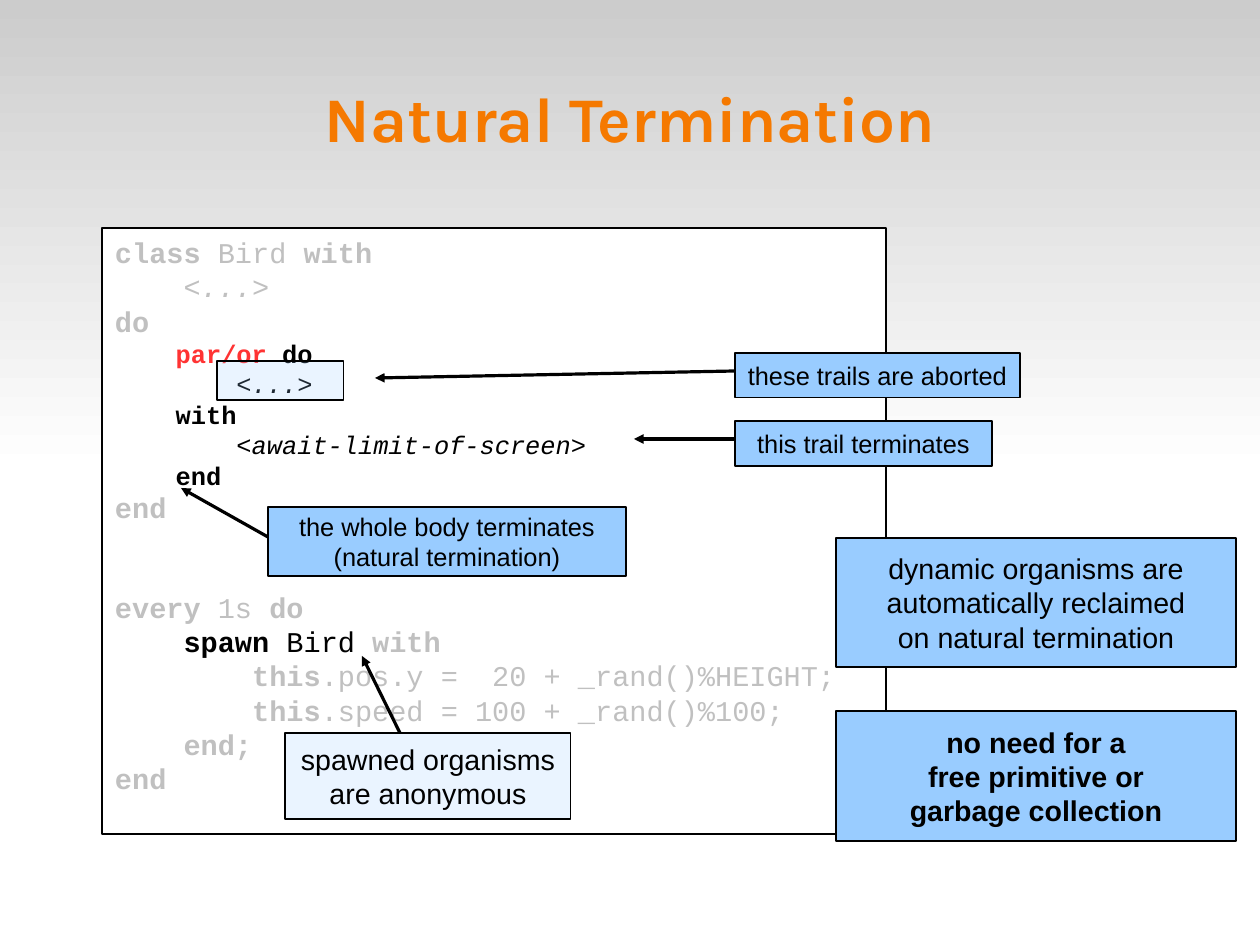
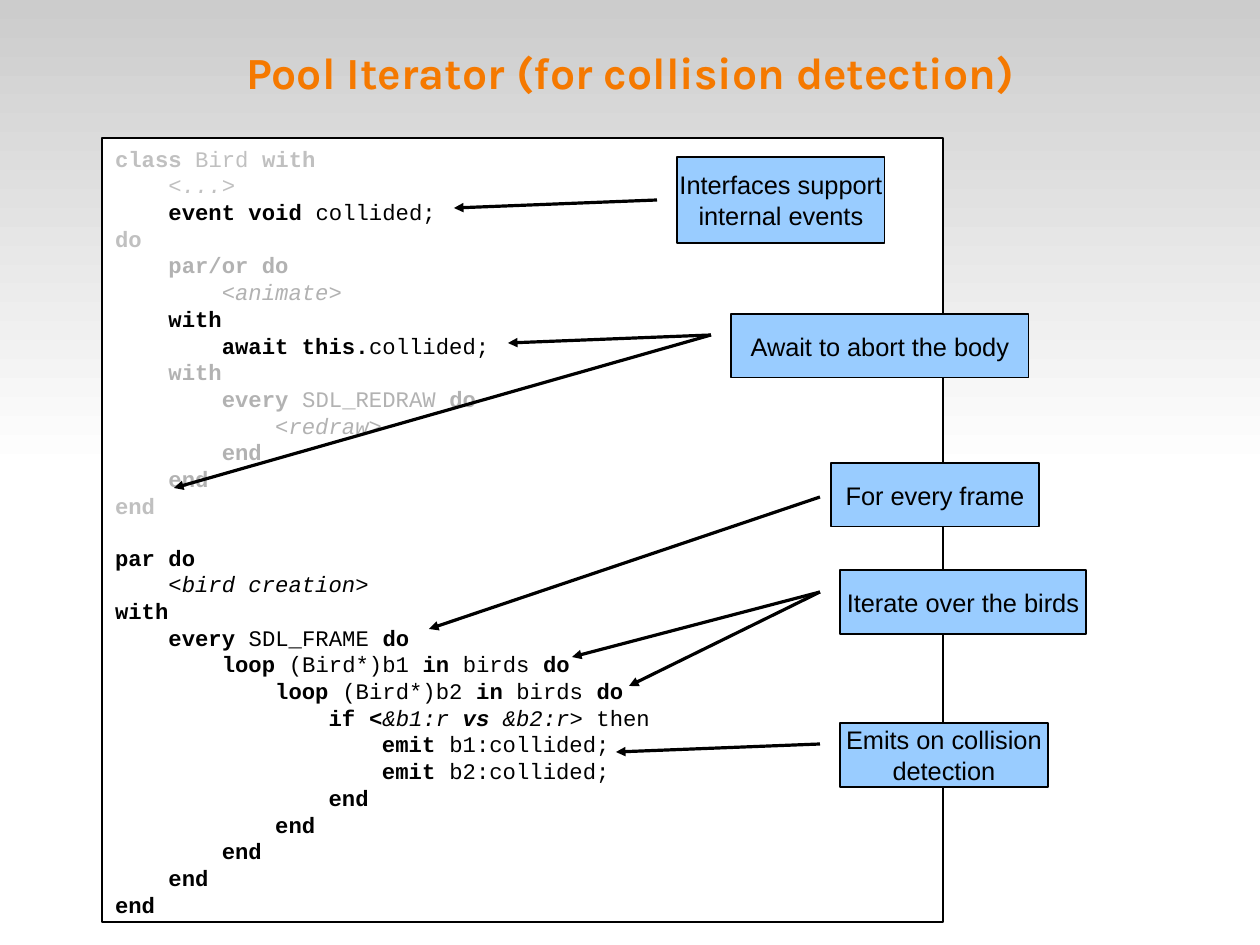
from lxml import etree
from pptx import Presentation
from pptx.dml.color import RGBColor
from pptx.enum.shapes import MSO_CONNECTOR, MSO_SHAPE
from pptx.enum.text import MSO_ANCHOR, MSO_AUTO_SIZE, PP_ALIGN
from pptx.oxml.ns import qn
from pptx.util import Pt

RECT = MSO_SHAPE.RECTANGLE
STRAIGHT = MSO_CONNECTOR.STRAIGHT
TOP, MIDDLE = MSO_ANCHOR.TOP, MSO_ANCHOR.MIDDLE
LEFT, CENTER = PP_ALIGN.LEFT, PP_ALIGN.CENTER
NO_AUTOFIT = MSO_AUTO_SIZE.NONE

PX = 8000  # EMU per px
WIDTH, HEIGHT = 1260, 945
BLACK, WHITE, ORANGE, BLUE = "000000", "FFFFFF", "F57900", "99CCFF"
SOLID, FAINT = 100, 20  # callout opacity in percent

# Code styles: a colour letter, then b for bold and i for italic
CODE_COLORS = {"K": BLACK, "G": "C0C0C0", "D": "B2B2B2", "R": "FF3333"}

# Code blocks: text size, space before, lines of (style, text) runs
termination_code = [
    (18, 0, [
        [("Gb", "class"), ("G", " Bird "), ("Gb", "with")],
        [("Gi", "    <...>")],
        [("Gb", "do")],
    ]),
    (16, 0, [
        [("Rb", "    par/or"), ("Kb", " do")],
        [("Ki", "        <...>")],
        [("Kb", "    with")],
        [("Ki", "        <await-limit-of-screen>")],
        [("Kb", "    end")],
    ]),
    (18, 0, [[("Gb", "end")]]),
    (18, 41, [
        [("Gb", "every "), ("G", "1s"), ("Gb", " do")],
        [("Kb", "    spawn "), ("K", "Bird"), ("Gb", " with")],
        [("Gb", "        this"), ("G", ".pos.y =  20 + _rand()%HEIGHT;")],
        [("Gb", "        this"), ("G", ".speed = 100 + _rand()%100;")],
        [("Gb", "    end;")],
        [("Gb", "end")],
    ]),
]

iterator_code = [
    (14, 0, [
        [("Gb", "class"), ("G", " Bird "), ("Gb", "with")],
        [("Gi", "    <...>")],
        [("Kb", "    event void"), ("K", " collided;")],
        [("Gb", "do")],
        [("Db", "    par/or do")],
        [("Di", "        <animate>")],
        [("Kb", "    with")],
        [("Kb", "        await this."), ("K", "collided;")],
        [("Db", "    with")],
        [("Db", "        every"), ("D", " SDL_REDRAW"), ("Db", " do")],
        [("Di", "            <redraw>")],
        [("Db", "        end")],
        [("Db", "    end")],
        [("Gb", "end")],
    ]),
    (14, 16, [
        [("Kb", "par do")],
        [("Ki", "    <bird creation>")],
        [("Kb", "with")],
        [("Kb", "    every"), ("K", " SDL_FRAME "), ("Kb", "do")],
        [("Kb", "        loop "), ("K", "(Bird*)b1 "), ("Kb", "in "),
         ("K", "birds "), ("Kb", "do")],
        [("Kb", "            loop"), ("K", " (Bird*)b2 "), ("Kb", "in "),
         ("K", "birds "), ("Kb", "do")],
        [("Kb", "                if "), ("Kbi", "<"), ("Ki", "&b1:r "),
         ("Kbi", "vs"), ("Ki", " &b2:r>"), ("K", " then")],
        [("Kb", "                    emit"), ("K", " b1:collided;")],
        [("Kb", "                    emit"), ("K", " b2:collided;")],
        [("Kb", "                end")],
        [("Kb", "            end")],
        [("Kb", "        end")],
        [("Kb", "    end")],
        [("Kb", "end")],
    ]),
]

# Callouts: box, text lines, text size, bold, opacity
# Arrows: from x, from y, to x, to y
slides = [
    {
        "title": ("Natural Termination", 40, (63, 38, 1134, 158)),
        "code_box": (102, 228, 784, 606),
        "code": termination_code,
        "callouts": [
            ((285, 733, 286, 86), ["spawned organisms", "are anonymous"],
             18, False, FAINT),
            ((735, 421, 257, 45), ["this trail terminates"], 16, False, SOLID),
            ((268, 507, 358, 69),
             ["the whole body terminates", "(natural termination)"],
             16, False, SOLID),
            ((735, 353, 285, 45), ["these trails are aborted"],
             16, False, SOLID),
            ((836, 538, 400, 129),
             ["dynamic organisms are", "automatically reclaimed",
              "on natural termination"], 18, False, SOLID),
            ((836, 711, 400, 130),
             ["no need for a", "free primitive or", "garbage collection"],
             18, True, SOLID),
            ((217, 361, 127, 39), [], 16, False, FAINT),
        ],
        "arrows": [
            (400, 733, 362, 656),
            (735, 371, 375, 378),
            (735, 439, 634, 439),
            (268, 537, 181, 488),
        ],
    },
    {
        "title": ("Pool Iterator (for collision detection)", 28,
                  (63, 0, 1134, 144)),
        "code_box": (102, 138, 841, 784),
        "code": iterator_code,
        "callouts": [
            ((677, 157, 208, 86), ["Interfaces support", "internal events"],
             16, False, SOLID),
            ((731, 314, 298, 64), ["Await to abort the body"],
             16, False, SOLID),
            ((831, 463, 208, 64), ["For every frame"], 16, False, SOLID),
            ((840, 570, 246, 64), ["Iterate over the birds"],
             16, False, SOLID),
            ((840, 723, 208, 64), ["Emits on collision", "detection"],
             16, False, SOLID),
        ],
        "arrows": [
            (657, 200, 454, 208),
            (711, 335, 508, 343),
            (711, 335, 174, 488),
            (820, 497, 429, 629),
            (820, 592, 572, 657),
            (820, 592, 629, 686),
            (820, 744, 616, 752),
        ],
    },
]


def rgb(color):
    return RGBColor.from_string(color)


def add_box(s, box, fill, line_width, anchor, margin_x, margin_y):
    """Add a black-outlined rectangle with its text frame set up."""
    sp = s.shapes.add_shape(RECT, *[v * PX for v in box])
    sp.shadow.inherit = False
    sp.fill.solid()
    sp.fill.fore_color.rgb = rgb(fill)
    sp.line.color.rgb = rgb(BLACK)
    sp.line.width = Pt(line_width)
    tf = sp.text_frame
    tf.vertical_anchor = anchor
    tf.margin_left = tf.margin_right = margin_x * PX
    tf.margin_top = tf.margin_bottom = margin_y * PX
    return sp


prs = Presentation()
prs.slide_width, prs.slide_height = WIDTH * PX, HEIGHT * PX
master = prs.slide_master
master.background.fill.solid()
master.background.fill.fore_color.rgb = rgb(WHITE)

for number, content in enumerate(slides):
    s = prs.slides.add_slide(prs.slide_layouts[5])

    if number == 0:
        # The band is drawn once and moved to the back of the master
        band = s.shapes.add_shape(RECT, 0, 0, WIDTH * PX, HEIGHT * PX // 2)
        band.shadow.inherit = False
        band.line.fill.background()
        band.fill.gradient()
        band.fill.gradient_angle = 270
        for stop, color in zip(band.fill.gradient_stops, ("CCCCCC", WHITE)):
            stop.color.rgb = rgb(color)
        master.shapes._spTree.insert(2, band._element)

    text, size, box = content["title"]
    title = s.shapes.title
    title.left, title.top, title.width, title.height = [v * PX for v in box]
    tf = title.text_frame
    tf.auto_size = NO_AUTOFIT
    tf.vertical_anchor = MIDDLE
    tf.margin_left = tf.margin_right = tf.margin_top = tf.margin_bottom = 0
    p = tf.paragraphs[0]
    p.alignment = CENTER
    r = p.add_run()
    r.text = text
    r.font.name = "Karla"
    r.font.size = Pt(size)
    r.font.bold = True
    r.font.color.rgb = rgb(ORANGE)

    code_box = add_box(s, content["code_box"], WHITE, 1.45, TOP, 13, 7)
    tf = code_box.text_frame
    tf.word_wrap = True
    p = None
    for size, gap, lines in content["code"]:
        for i, runs in enumerate(lines):
            p = tf.add_paragraph() if p is not None else tf.paragraphs[0]
            p.alignment = LEFT
            if gap and i == 0:
                p.space_before = Pt(gap)
            for style, text in runs:
                r = p.add_run()
                r.text = text
                r.font.name = "Courier New"
                r.font.size = Pt(size)
                r.font.bold = "b" in style
                r.font.italic = "i" in style
                r.font.color.rgb = rgb(CODE_COLORS[style[0]])

    for box, lines, size, bold, opacity in content["callouts"]:
        callout = add_box(s, box, BLUE, 0, MIDDLE, 11, 6)
        if opacity < SOLID:
            color = callout._element.spPr.find(qn("a:solidFill"))[0]
            alpha = etree.SubElement(color, qn("a:alpha"))
            alpha.set("val", str(opacity * 1000))
        tf = callout.text_frame
        tf.word_wrap = False
        for i, text in enumerate(lines):
            p = tf.add_paragraph() if i else tf.paragraphs[0]
            p.alignment = CENTER
            r = p.add_run()
            r.text = text
            r.font.name = "Arial"
            r.font.size = Pt(size)
            r.font.bold = bold
            r.font.color.rgb = rgb(BLACK)

    for ends in content["arrows"]:
        arrow = s.shapes.add_connector(STRAIGHT, *[v * PX for v in ends])
        arrow.line.color.rgb = rgb(BLACK)
        arrow.line.width = Pt(0)
        head = etree.SubElement(arrow.line._get_or_add_ln(), qn("a:tailEnd"))
        head.set("type", "triangle")
        etree.SubElement(arrow._element.spPr, qn("a:effectLst"))

prs.save("out.pptx")
